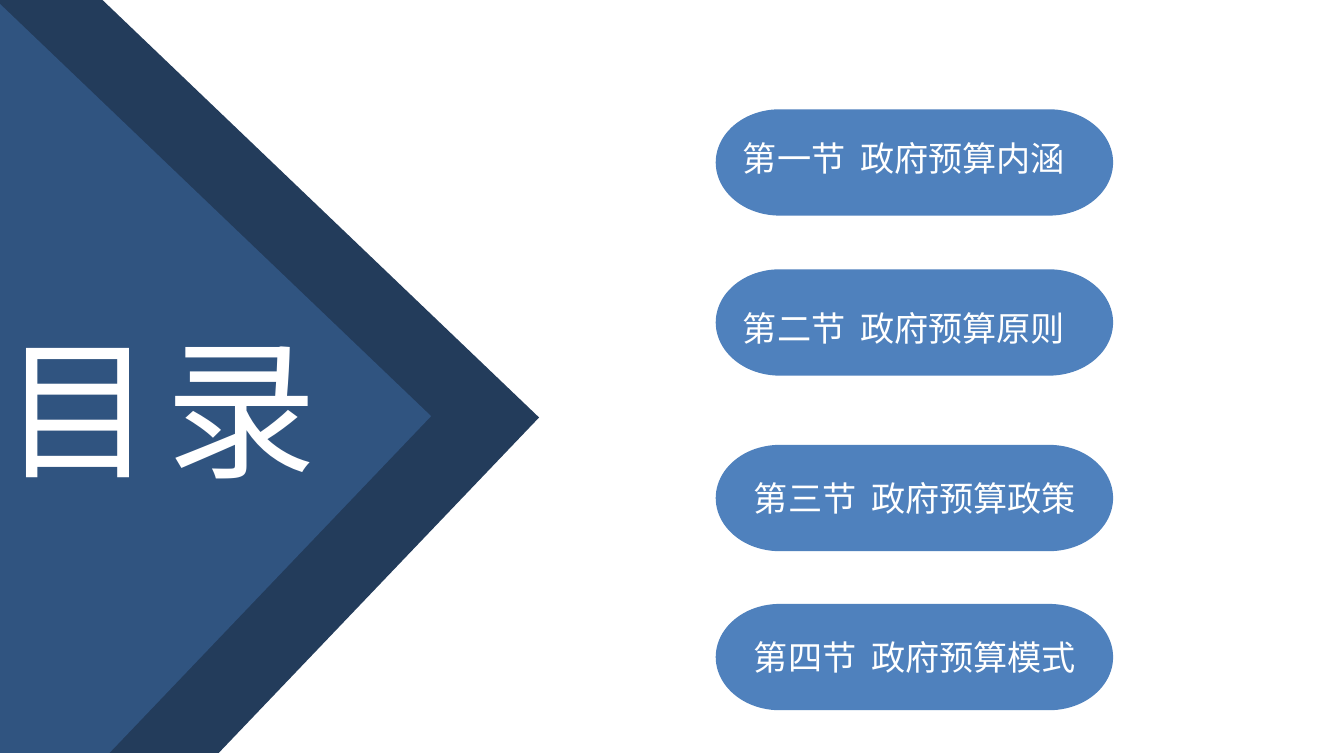
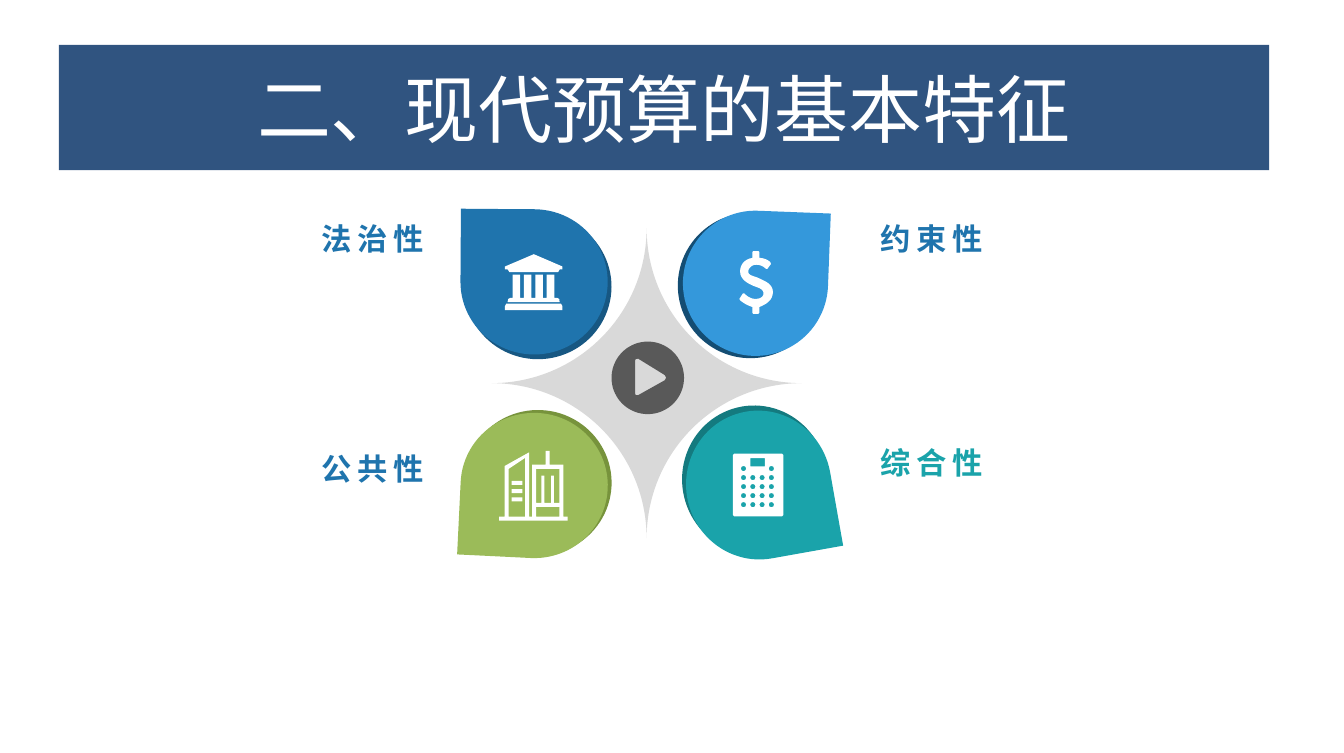
import math
from dataclasses import dataclass

from lxml import etree
from pptx import Presentation
from pptx import util as u
from pptx.dml.color import RGBColor
from pptx.enum import shapes as kinds, text as t
from pptx.oxml.ns import qn

Pt = u.Pt


@dataclass(frozen=True)
class Theme:
    font: str = "Noto Sans CJK SC"
    latin: str = "Calibri"
    white: str = "FFFFFF"
    navy: str = "305480"
    dark_navy: str = "233C5B"
    pill: str = "4F81BD"
    star: str = "D9D9D9"
    play: str = "595959"
    blue: str = "1F74AD"
    blue_shade: str = "175782"
    sky: str = "3498DB"
    sky_shade: str = "144D73"
    green: str = "9BBB59"
    green_shade: str = "77933C"
    teal: str = "1AA3AA"
    teal_shade: str = "147A7F"
    contents_size: float = 80
    banner_size: float = 39
    item_size: float = 18
    label_size: float = 16


THEME = Theme()


def apply(target, formats):
    for name, value in formats.items():
        setattr(target, name, value)


def place(shape, box):
    apply(shape, dict(zip(("left", "top", "width", "height"), map(Pt, box))))


def paint(shape, color):
    shape.fill.solid()
    shape.fill.fore_color.rgb = RGBColor.from_string(color)
    shape.line.fill.background()


def write(shape, content, size, color, margins, anchor, align="LEFT",
          latin=THEME.font, bold=False, spacing=0, lines=1.0, tab=None):
    frame = shape.text_frame
    names = ("margin_left", "margin_top", "margin_right", "margin_bottom")
    apply(frame, {"word_wrap": True, "auto_size": t.MSO_AUTO_SIZE.NONE,
                  "vertical_anchor": anchor,
                  **dict(zip(names, map(Pt, margins)))})
    paragraph = frame.paragraphs[0]
    apply(paragraph, {"alignment": t.PP_ALIGN[align], "line_spacing": lines})
    if tab:
        stops = etree.SubElement(paragraph._p.get_or_add_pPr(), qn("a:tabLst"))
        etree.SubElement(stops, qn("a:tab"), pos=str(Pt(tab)), algn="l")
    run = paragraph.add_run()
    run.text = content
    apply(run.font, {"size": Pt(size), "bold": bold, "name": latin})
    run.font.color.rgb = RGBColor.from_string(color)
    properties = run.font._element
    properties.set("spc", str(spacing * 100))
    east_asian = etree.Element(qn("a:ea"), typeface=THEME.font)
    properties.find(qn("a:latin")).addnext(east_asian)


def add_preset(slide, kind, box, color, rotation=0):
    shape = slide.shapes.add_shape(kind, *map(Pt, box))
    shape.shadow.inherit = False
    shape.rotation = rotation
    paint(shape, color)
    return shape


def add_pill(slide, top, content, indent, shift):
    pill = add_preset(slide, kinds.MSO_SHAPE.FLOWCHART_TERMINATOR,
                      (377.3, top, 209.5, 56), THEME.pill)
    write(pill, content, THEME.item_size, THEME.white,
          (indent, 6 + shift, 0, 6 - shift), t.MSO_ANCHOR.MIDDLE, tab=61.7)


def add_label(slide, left, top, content, color, align):
    box = slide.shapes.add_textbox(*map(Pt, (left, top, 175.7, 23)))
    write(box, content, THEME.label_size, color, (5, 3.6, 5, 0),
          t.MSO_ANCHOR.BOTTOM, align, bold=True, spacing=3, lines=1.2)


def add_drop(slide, box, offset, rotation, shade, color):
    left, top, width, height = box
    front = (left + offset[0], top + offset[1], width, height)
    for frame, fill in ((box, shade), (front, color)):
        add_preset(slide, kinds.MSO_SHAPE.TEAR, frame, fill, rotation)


def rectangle(left, top, right, bottom):
    return [(left, top), (right, top), (right, bottom), (left, bottom)]


def circle(x, y, radius, sides):
    angles = (2 * math.pi * i / sides for i in range(sides))
    return [(x + radius * math.cos(a), y + radius * math.sin(a)) for a in angles]


def trace(steps, samples=8):
    points = []
    for step in steps:
        if len(step) == 2:
            points.append(step)
            continue
        controls = [points[-1], step[:2], step[2:4], step[4:]]
        for i in range(1, samples + 1):
            f = i / samples
            weights = [math.comb(3, k) * f**k * (1 - f)**(3 - k) for k in range(4)]
            points.append(tuple(sum(w * c[axis] for w, c in zip(weights, controls))
                                for axis in (0, 1)))
    return points


def add_icon(slide, origin, contours, color):
    builder = None
    for contour in contours:
        points = [(Pt(x), Pt(y)) for x, y in contour]
        if builder is None:
            builder = slide.shapes.build_freeform(*points[0])
        else:
            builder.move_to(*points[0])
        builder.add_line_segments(points[1:], close=True)
    shape = builder.convert_to_shape(*map(Pt, origin))
    shape.shadow.inherit = False
    paint(shape, color)


def play_icon():
    return [circle(19.1, 19.1, 19.1, 72),
            [(12.4, 10), (12.8, 9.2), (14, 9), (28, 17.6), (28.8, 19),
             (28, 20.4), (14, 28.2), (12.8, 28.2), (12.4, 27.4)]]


def bank_icon():
    roof = [(0, 6.5), (15.2, 0), (30.3, 6.5), (30.3, 8), (28.9, 8),
            (28, 9.5), (2.4, 9.5), (1.4, 8), (0, 8)]
    columns = [rectangle(4 + 6 * i, 10.8, 8 + 6 * i, 23) for i in range(4)]
    step = [(1.4, 25.2), (1.7, 23.6), (3, 23), (27.4, 23), (28.6, 23.6), (28.8, 25.2)]
    plinth = [(0, 29.5), (0, 27.4), (0.7, 26), (29.5, 26), (30.3, 27.4), (30.3, 29.5)]
    return [roof, *columns, step, plinth]


def dollar_icon():
    return [trace([
        (10.8, 29.5), (10.8, 32.6), (10.3, 33.1), (7.7, 33.1), (7.2, 32.6),
        (7.2, 29.5), (2.9, 28.1, 0.7, 25.9, 0.7, 25.9), (0.3, 25.2),
        (2.2, 22.3), (2.9, 22.3), (2.9, 22.3, 5.4, 25.2, 8.6, 25.2),
        (10.8, 25.2, 13, 24.5, 13, 22.3), (13, 20.2, 10.8, 19.4, 8.6, 18.7),
        (5, 17.3, 0.7, 15.1, 0.7, 10.8), (0.7, 7.2, 2.9, 4.3, 7.2, 3.6),
        (7.2, 0.4), (7.7, 0), (10.3, 0), (10.8, 0.4), (10.8, 3.6),
        (14.4, 3.6, 16.6, 5.8, 16.6, 5.8), (17, 6.8), (15.1, 9.4), (14.4, 9.4),
        (14.4, 9.4, 12.2, 7.2, 9.4, 7.2), (6.5, 7.2, 5, 9.4, 5, 10.8),
        (5, 13, 7.9, 13, 10.8, 14.4), (13.7, 15.8, 18, 17.3, 18, 21.6),
        (18, 25.9, 14.4, 28.1, 10.8, 29.5)])]


def buildings_icon():
    outline = [(36, 36.7), (0, 36.7), (0, 34.6), (2.9, 34.6), (2.9, 7.9),
               (15.8, 0.7), (15.8, 34.6), (17.3, 34.6), (17.3, 7.2), (24.5, 7.2),
               (24.5, 0), (26.6, 0), (26.6, 7.2), (33.8, 7.2), (33.8, 34.6), (36, 34.6)]
    left_wall = [(13.7, 3.6), (5, 9.4), (5, 34.6), (13.7, 34.6)]
    right_wall = [(31.7, 9.4), (19.4, 9.4), (19.4, 27.4), (22.3, 27.4), (22.3, 13),
                  (23.8, 13), (23.8, 27.4), (27.4, 27.4), (27.4, 13), (28.8, 13),
                  (28.8, 27.4), (31.7, 27.4)]
    door = rectangle(19.4, 29.5, 31.7, 34.6)
    windows = [rectangle(6.5, 15.8 + 4.3 * i, 12.2, 17.9 + 4.3 * i) for i in range(3)]
    return [outline, left_wall, right_wall, door, *windows]


def calculator_icon():
    body = [(0.7, 0), (25.9, 0), (26.6, 0.7), (26.6, 32.4),
            (25.9, 33.1), (0.7, 33.1), (0, 32.4), (0, 0.7)]
    screen = rectangle(9.2, 2.4, 16.8, 6.7)
    keys = [circle(5.6 + 4.9 * column, 7.9 + 4.75 * row, 1.4, 8)
            for row in range(5) for column in range(4)
            if row or column in (0, 3)]
    return [body, screen, *keys]


def add_titled_slide(presentation):
    return presentation.slides.add_slide(presentation.slide_layouts[5])


def build_contents(presentation):
    slide = add_titled_slide(presentation)
    for left, top, color in ((-386.6, -49, THEME.dark_navy),
                             (-443.5, -49.7, THEME.navy)):
        add_preset(slide, kinds.MSO_SHAPE.RECTANGLE,
                   (left, top, 555.8, 555.8), color, 43.7)
    title = slide.shapes.title
    place(title, (0, 162, 224.6, 102.2))
    write(title, "目录", THEME.contents_size, THEME.white, (1.4, 3.6, 5, 3.6),
          t.MSO_ANCHOR.TOP, spacing=6)
    title.element.getparent().append(title.element)
    for top, content, indent, shift in (
            (57.6, "第一节\t政府预算内涵", 4.5, -2.5),
            (141.9, "第二节\t政府预算原则", 4.5, 2.9),
            (234.4, "第三节\t政府预算政策", 10.3, 0),
            (318.2, "第四节\t政府预算模式", 10.3, 0)):
        add_pill(slide, top, content, indent, shift)


def build_features(presentation):
    slide = add_titled_slide(presentation)
    title = slide.shapes.title
    place(title, (31, 23.7, 638, 66))
    paint(title, THEME.navy)
    write(title, "二、现代预算的基本特征", THEME.banner_size, THEME.white,
          (6.5, 3, 6.5, 3), t.MSO_ANCHOR.MIDDLE, "CENTER", latin=THEME.latin)

    star = add_preset(slide, kinds.MSO_SHAPE.PLAQUE,
                      (259.2, 120.2, 163.4, 163.4), THEME.star)
    star.adjustments[0] = 0.5
    add_icon(slide, (322.4, 180), play_icon(), THEME.play)

    for box, offset, rotation, shade, color in (
            ((245.3, 112.2, 76.5, 77.6), (-2, -2.5), 270.4, THEME.blue_shade, THEME.blue),
            ((357.3, 112.2, 76.5, 76.5), (2.7, -1.2), 2.2, THEME.sky_shade, THEME.sky),
            ((244.8, 216, 77.6, 76.5), (-2, 1.5), 182.8, THEME.green_shade, THEME.green),
            ((358.6, 214.6, 78.5, 76.5), (2.1, 2.7), 79.9, THEME.teal_shade, THEME.teal)):
        add_drop(slide, box, offset, rotation, shade, color)

    for origin, contours in (((266.2, 133.9), bank_icon()),
                             ((389.5, 132.3), dollar_icon()),
                             ((263.2, 237.6), buildings_icon()),
                             ((386.4, 239), calculator_icon())):
        add_icon(slide, origin, contours, THEME.white)

    for left, top, content, color, align in (
            (52.6, 112.3, "法治性", THEME.blue, "RIGHT"),
            (459.4, 112.3, "约束性", THEME.blue, "LEFT"),
            (52.6, 233.3, "公共性", THEME.blue, "RIGHT"),
            (459.4, 230.4, "综合性", THEME.teal, "LEFT")):
        add_label(slide, left, top, content, color, align)


def main():
    presentation = Presentation()
    apply(presentation, {"slide_width": Pt(708.5), "slide_height": Pt(396.7)})
    build_contents(presentation)
    build_features(presentation)
    presentation.save("out.pptx")


if __name__ == "__main__":
    main()
